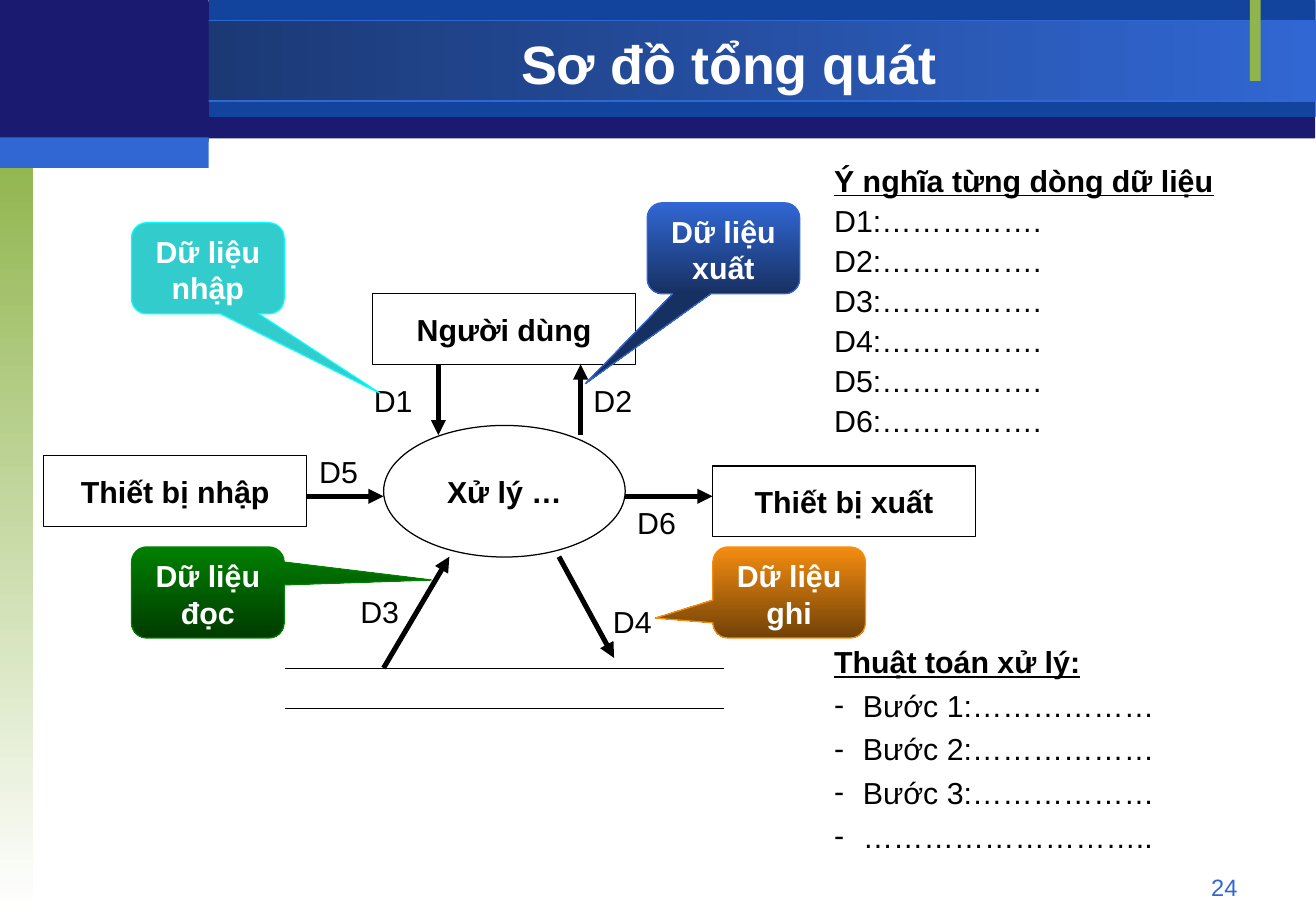
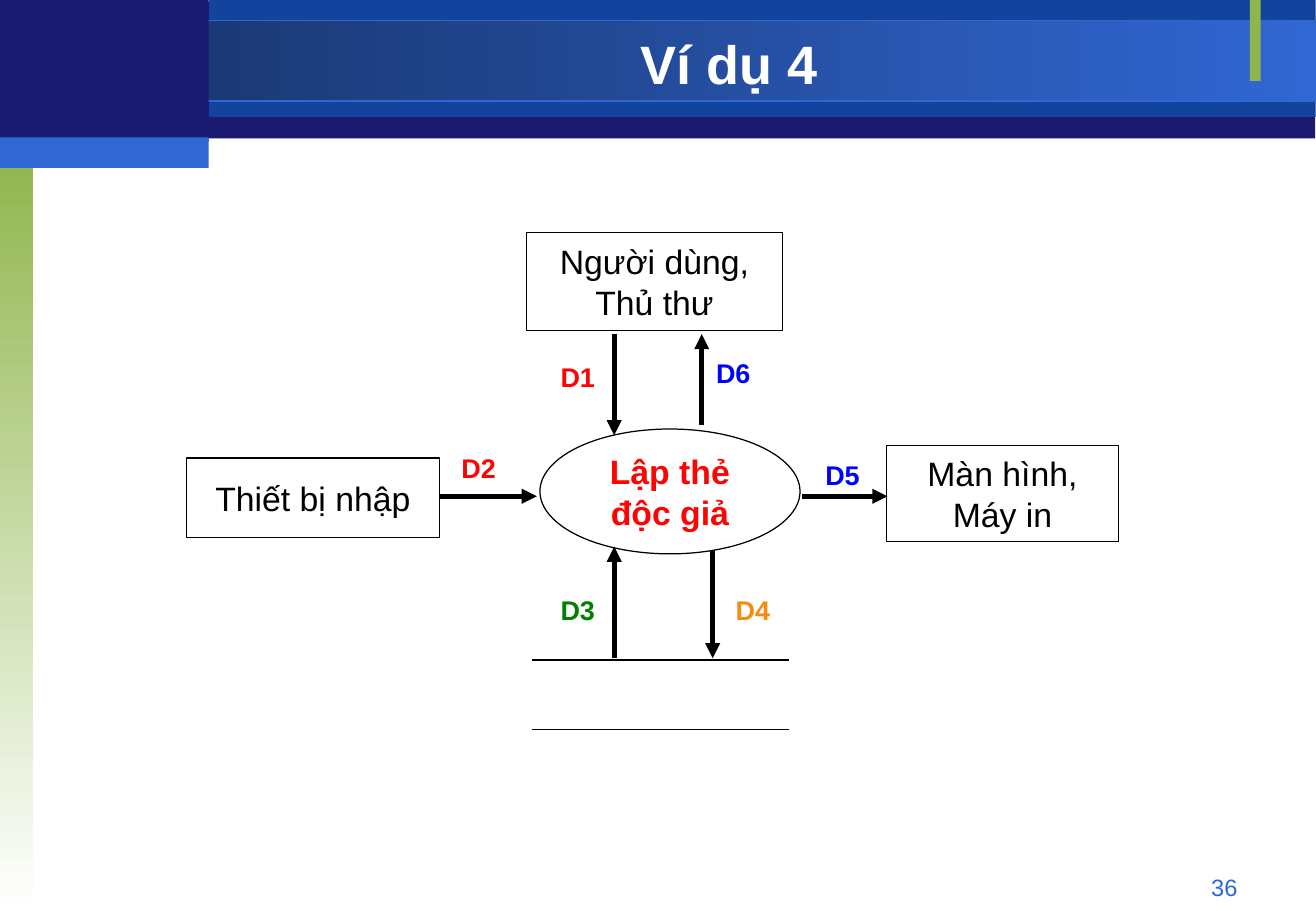
from lxml import etree
from pptx import Presentation
from pptx.dml.color import RGBColor
from pptx.enum.shapes import MSO_CONNECTOR, MSO_SHAPE, PP_PLACEHOLDER
from pptx.enum.text import MSO_ANCHOR, MSO_AUTO_SIZE, PP_ALIGN
from pptx.oxml.ns import qn
from pptx.util import Pt

RECT, OVAL = MSO_SHAPE.RECTANGLE, MSO_SHAPE.OVAL
BUBBLE = MSO_SHAPE.ROUNDED_RECTANGULAR_CALLOUT
STRAIGHT = MSO_CONNECTOR.STRAIGHT
TITLE = PP_PLACEHOLDER.TITLE
TOP, MIDDLE = MSO_ANCHOR.TOP, MSO_ANCHOR.MIDDLE
FIXED, GROW = MSO_AUTO_SIZE.NONE, MSO_AUTO_SIZE.SHAPE_TO_FIT_TEXT
LEFT, CENTER, RIGHT = PP_ALIGN.LEFT, PP_ALIGN.CENTER, PP_ALIGN.RIGHT

BLACK = RGBColor(0x00, 0x00, 0x00)
WHITE = RGBColor(0xFF, 0xFF, 0xFF)
NAVY = RGBColor(0x1A, 0x1A, 0x70)
ROYAL = RGBColor(0x12, 0x44, 0x9E)
BLUE = RGBColor(0x31, 0x67, 0xD3)
DUSK = RGBColor(0x17, 0x30, 0x62)
LIME = RGBColor(0x90, 0xB5, 0x4D)
TEAL = RGBColor(0x33, 0xCC, 0xCC)
CYAN = RGBColor(0x00, 0xFF, 0xFF)
GREEN = RGBColor(0x00, 0x80, 0x00)
FOREST = RGBColor(0x00, 0x3B, 0x00)
ORANGE = RGBColor(0xF4, 0x8D, 0x10)
BROWN = RGBColor(0x71, 0x41, 0x07)
RED = RGBColor(0xFF, 0x03, 0x03)
BRIGHT = RGBColor(0x00, 0x00, 0xFF)

FONT = "Arial"
THIN, THICK = 0.75, 3
HANG = 17
TWO_LISTS, TITLE_ONLY = 3, 5


def place(shape, left, top, width, height):
    """Move and size a shape, in points."""
    shape.left, shape.top = Pt(left), Pt(top)
    shape.width, shape.height = Pt(width), Pt(height)


def write(frame, text, size=18, color=BLACK, bold=False, under=False,
          align=LEFT, gap=1.0, mark=None, more=False):
    """Write each line of text as a paragraph in the given format."""
    for row, words in enumerate(text.split("\n")):
        para = frame.add_paragraph() if more or row else frame.paragraphs[0]
        props = para._p.get_or_add_pPr()
        hang = Pt(HANG) if mark else 0
        props.set("marL", str(hang))
        props.set("indent", str(-hang))
        if mark:
            etree.SubElement(props, qn("a:buChar"), char=mark)
        else:
            etree.SubElement(props, qn("a:buNone"))
        para.alignment, para.line_spacing = align, gap
        para.space_before = para.space_after = Pt(0)
        run = para.add_run()
        run.text = words
        font = run.font
        font.name, font.size = FONT, Pt(size)
        font.bold, font.underline = bold, under
        font.color.rgb = color


def paint(shape, fill=None, fade=None, angle=270, edge=None):
    """Fill a shape plainly, with a gradient, or not at all."""
    shape.shadow.inherit = False
    if fade:
        shape.fill.gradient()
        shape.fill.gradient_angle = angle
        for stop, color in zip(shape.fill.gradient_stops, (fill, fade)):
            stop.color.rgb = color
    elif fill:
        shape.fill.solid()
        shape.fill.fore_color.rgb = fill
    else:
        shape.fill.background()
    if edge:
        shape.line.color.rgb = edge
        shape.line.width = Pt(THIN)
    else:
        shape.line.fill.background()


def draw(slide, kind, area, **look):
    """Add a painted preset shape."""
    shape = slide.shapes.add_shape(kind, *map(Pt, area))
    paint(shape, **look)
    return shape


def node(slide, kind, area, text, **form):
    """Add an outlined box or oval with centred text."""
    frame = draw(slide, kind, area, edge=BLACK).text_frame
    frame.word_wrap, frame.vertical_anchor = False, MIDDLE
    write(frame, text, align=CENTER, **form)


def bubble(slide, left, top, tip, text, **look):
    """Add a callout whose tail ends at the tip."""
    width, height = 90.5, 54
    shape = draw(slide, BUBBLE, (left, top, width, height), **look)
    shape.adjustments[0] = (tip[0] - left) / width - 0.5
    shape.adjustments[1] = (tip[1] - top) / height - 0.5
    frame = shape.text_frame
    frame.word_wrap, frame.vertical_anchor = True, TOP
    write(frame, text, color=WHITE, bold=True, align=CENTER)


def label(slide, left, top, text, height=29, **form):
    """Add a short text that does not wrap."""
    box = slide.shapes.add_textbox(*map(Pt, (left, top, 37.5, height)))
    box.text_frame.word_wrap = False
    box.text_frame.auto_size = GROW
    write(box.text_frame, text, **form)


def link(slide, ends, head=True):
    """Add a thick arrow, or a thin line without a head."""
    line = slide.shapes.add_connector(STRAIGHT, *map(Pt, ends))
    line.line.color.rgb = BLACK
    line.line.width = Pt(THICK if head else THIN)
    props = line.element.spPr
    if head:
        etree.SubElement(props.find(qn("a:ln")), qn("a:tailEnd"),
                         type="triangle")
    etree.SubElement(props, qn("a:effectLst"))


def store(slide, left, right, *levels):
    """Add the level lines of a data store."""
    for level in levels:
        link(slide, (left, level, right, level), head=False)


def listing(holder, area, head, items, gap, mark=None):
    """Fill a body placeholder with an underlined head and its items."""
    place(holder, *area)
    frame = holder.text_frame
    frame.auto_size, frame.vertical_anchor = FIXED, TOP
    write(frame, head, bold=True, under=True, gap=gap)
    write(frame, "\n".join(items), gap=gap, mark=mark, more=True)


def start(deck, layout, title, number):
    """Add a slide with its title and number."""
    slide = deck.slides.add_slide(deck.slide_layouts[layout])
    frame = slide.shapes.title.text_frame
    frame.auto_size = FIXED
    write(frame, title, size=32, color=WHITE, bold=True, align=CENTER)
    box = slide.shapes.add_textbox(*map(Pt, (559, 514, 182, 19.5)))
    box.text_frame.word_wrap = True
    write(box.text_frame, number, size=14, color=BLUE, align=RIGHT)
    return slide


def dress(master, slide):
    """Draw the bands on a slide and move them to the master."""
    place(master.placeholders.get(TITLE), 123.5, 16.5, 618, 42)
    bands = (
        ((0, 1, 780, 81), dict(fill=NAVY)),
        ((124, 0, 656.4, 69.4), dict(fill=ROYAL)),
        ((0, 12.4, 780, 47.5), dict(fill=DUSK, fade=BLUE, angle=0, edge=BLUE)),
        ((0, 90, 19.5, 450), dict(fill=LIME, fade=WHITE)),
        ((741.2, 0, 6.5, 48), dict(fill=LIME)),
        ((0, 0, 123.8, 84), dict(fill=NAVY)),
        ((0, 81.5, 123.8, 18), dict(fill=BLUE)),
    )
    for spot, (area, look) in enumerate(bands, 2):
        band = draw(slide, RECT, area, **look).element
        band.find(".//" + qn("p:cNvPr")).set("id", str(spot + 20))
        master.shapes.element.insert(spot, band)


def general(slide):
    """Draw the general data flow diagram and its lists."""
    for left, top, text in ((221, 174.2, "Người dùng"),
                            (26, 270.2, "Thiết bị nhập"),
                            (422.6, 276.2, "Thiết bị xuất")):
        node(slide, RECT, (left, top, 156, 42), text, bold=True)
    node(slide, OVAL, (227.5, 252.2, 143.3, 78), "Xử lý …", bold=True)
    store(slide, 169, 429.2, 396.2, 420.2)
    for ends in ((260, 216, 260, 258), (344.4, 258, 344.4, 216),
                 (227.5, 396, 266.5, 330), (331.5, 330, 364.2, 390),
                 (182, 294.2, 227.5, 294.2), (370.8, 294.2, 422.6, 294.2)):
        link(slide, ends)
    spots = ((214.6, 223.2), (344.9, 223.2), (206.6, 348.2),
             (356.4, 354.2), (182.2, 265.2), (370.8, 295.2))
    for count, spot in enumerate(spots, 1):
        label(slide, *spot, f"D{count}")
    flows, steps = list(slide.placeholders)[1:3]
    listing(flows, (487.5, 90.2, 260, 173.5), "Ý nghĩa từng dòng dữ liệu",
            [f"D{count}:……………." for count in range(1, 7)], 1.1)
    listing(steps, (487.5, 373.2, 227.5, 137), "Thuật toán xử lý:",
            [f"Bước {count}:………………" for count in range(1, 4)]
            + ["……………………….."], 1.2, mark="-")
    bubble(slide, 78, 132, (225.5, 233.2), "Dữ liệu nhập",
           fill=TEAL, edge=CYAN)
    bubble(slide, 383.8, 120.2, (347.2, 227.4), "Dữ liệu xuất",
           fill=BLUE, fade=DUSK, edge=BLUE)
    bubble(slide, 78, 324.2, (255.7, 343.8), "Dữ liệu đọc",
           fill=GREEN, fade=FOREST, edge=GREEN)
    bubble(slide, 422.8, 324.2, (388.6, 366.4), "Dữ liệu ghi",
           fill=ORANGE, fade=BROWN, edge=ORANGE)


def sample(slide):
    """Draw the diagram of the reader card example."""
    for area, text in (((312.2, 138, 152, 58), "Người dùng,\nThủ thư"),
                       ((110.4, 271.5, 150.5, 47), "Thiết bị nhập"),
                       ((525.8, 264.2, 137.5, 56.8), "Màn hình,\nMáy in")):
        node(slide, RECT, area, text, size=20)
    node(slide, OVAL, (320.2, 254.3, 154.3, 74), "Lập thẻ\nđộc giả",
         size=20, color=RED, bold=True)
    store(slide, 315.3, 468, 391.2, 432.2)
    for ends in ((364.3, 198, 364.3, 258), (416.2, 252, 416.2, 198),
                 (260.2, 294.2, 318.4, 294.2), (475.4, 294.2, 526.4, 294.2),
                 (364.3, 390.2, 364.3, 324), (422.7, 326.2, 422.7, 390.2)):
        link(slide, ends)
    for left, top, text, color in ((325.4, 210.4, "D1", RED),
                                   (266.6, 264.4, "D2", RED),
                                   (325.4, 348.2, "D3", GREEN),
                                   (429.2, 348.2, "D4", ORANGE),
                                   (482.4, 268, "D5", BRIGHT),
                                   (417.6, 207.8, "D6", BRIGHT)):
        label(slide, left, top, text, height=26.5,
              size=16, color=color, bold=True)


def main():
    """Build and save the two slides."""
    deck = Presentation()
    deck.slide_width = Pt(780.48)
    deck.slide_height = Pt(540)
    first = start(deck, TWO_LISTS, "Sơ đồ tổng quát", "24")
    dress(deck.slide_master, first)
    general(first)
    sample(start(deck, TITLE_ONLY, "Ví dụ 4", "36"))
    deck.save("out.pptx")


if __name__ == "__main__":
    main()
